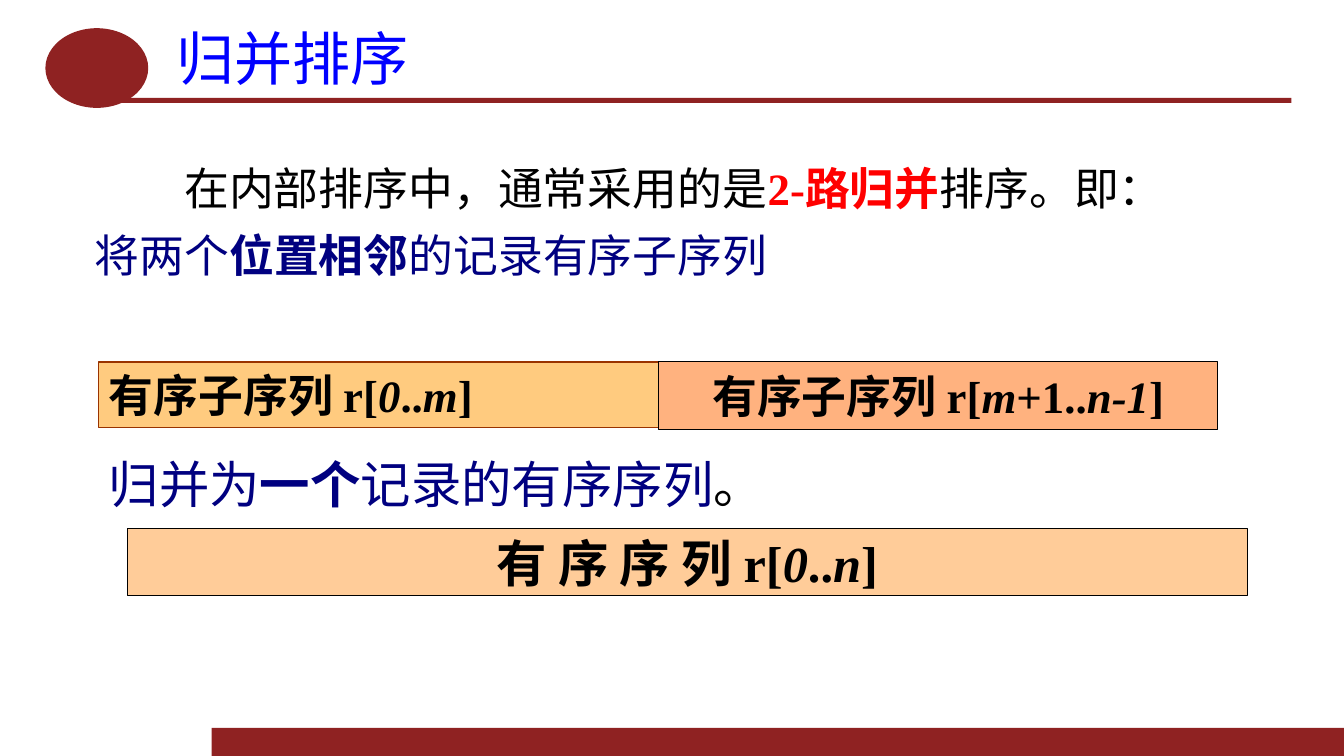
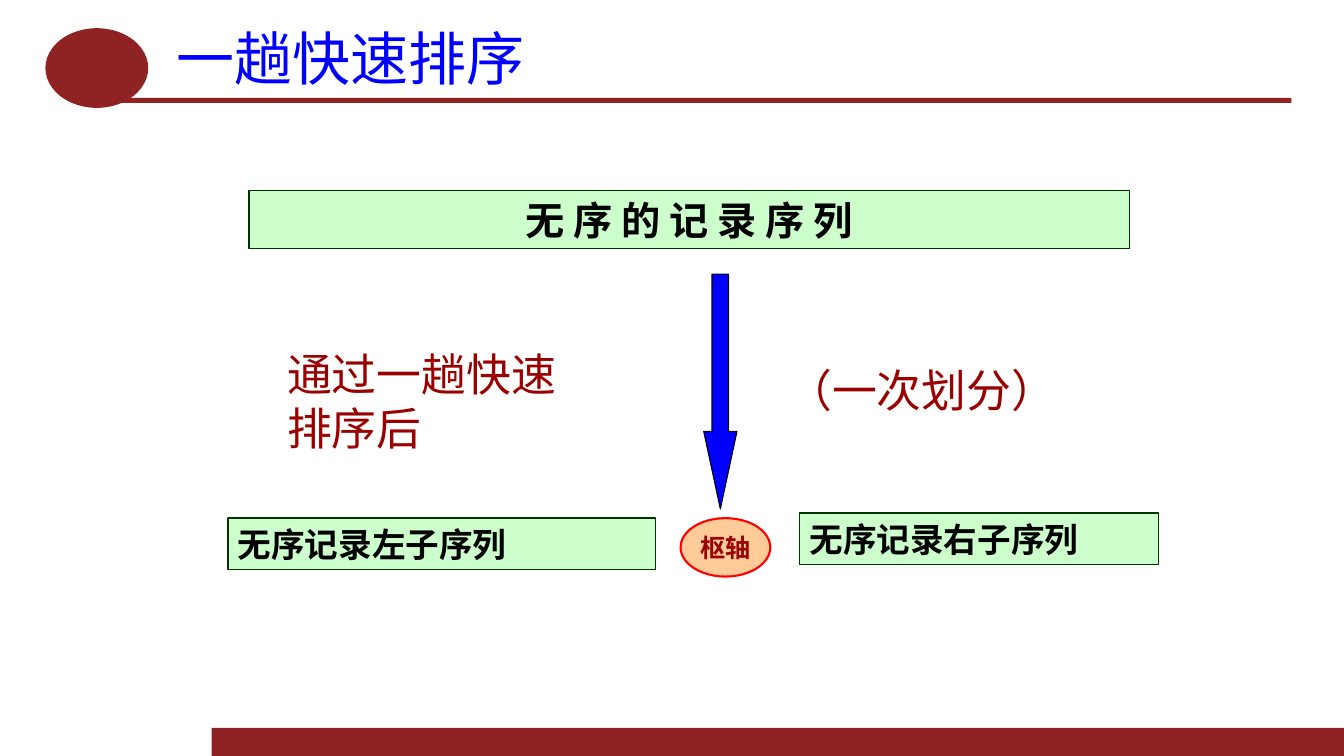
from typing import NamedTuple

from lxml import etree
from pptx import Presentation
from pptx import util as u
from pptx.dml.color import RGBColor
from pptx.enum import shapes, text
from pptx.oxml import ns

PX = 9144  # EMU: 100 px to the inch
BODY_FONT = "Times New Roman"
TITLE_FONT = "Noto Sans CJK SC"
COLORS = {
    "brand": "8F2222", "title": "0000FF", "black": "000000", "red": "FF0000",
    "navy": "000080", "maroon": "990000", "peach": "FFCC99", "amber": "FF9900",
    "orange": "FF6600", "rust": "993300", "mint": "CCFFCC", "forest": "003300",
}
SHAPE = shapes.MSO_SHAPE
CENTER = text.PP_ALIGN.CENTER
LEFT = text.PP_ALIGN.LEFT


class Span(NamedTuple):
    words: str
    color: str = "black"
    bold: bool = False
    italic: bool = False


def rgb(name):
    return RGBColor.from_string(COLORS[name])


def px(*lengths):
    return [u.Emu(length * PX) for length in lengths]


def formula(*parts):
    """Bold spans in which every second part is italic."""
    return [Span(part, bold=True, italic=index % 2 == 1)
            for index, part in enumerate(parts)]


def write(frame, lines, size, font=BODY_FONT, align=LEFT, spacing=None, indent=0,
          anchor=text.MSO_ANCHOR.MIDDLE, wrap=True):
    """Fill a text frame; each line is a list of spans."""
    frame.word_wrap = wrap
    frame.vertical_anchor = anchor
    for index, spans in enumerate(lines):
        para = frame.add_paragraph() if index else frame.paragraphs[0]
        para.alignment = align
        if spacing:
            para.line_spacing = spacing
        if indent:
            para._p.get_or_add_pPr().set("indent", str(indent * PX))
        para.font.name = font
        para.font.size = u.Pt(size)
        for span in spans:
            run = para.add_run()
            run.text = span.words
            run.font.color.rgb = rgb(span.color)
            run.font.bold = span.bold
            run.font.italic = span.italic


def add_figure(slide, kind, at, fill, line=None, width=0.75, opacity=None):
    figure = slide.shapes.add_shape(kind, *px(*at))
    figure.shadow.inherit = False
    figure.fill.solid()
    figure.fill.fore_color.rgb = rgb(fill)
    if opacity is not None:
        color = figure._element.spPr.find(".//" + ns.qn("a:srgbClr"))
        etree.SubElement(color, ns.qn("a:alpha")).set("val", str(opacity * 1000))
    if line:
        figure.line.color.rgb = rgb(line)
        figure.line.width = u.Pt(width)
    else:
        figure.line.fill.background()
    return figure


def add_bar(slide, at, spans, size, fill, line, width=0.75, align=LEFT, opacity=None):
    bar = add_figure(slide, SHAPE.RECTANGLE, at, fill, line, width, opacity)
    write(bar.text_frame, [spans], size, align=align)


def add_label(slide, at, lines, size, **style):
    box = slide.shapes.add_textbox(*px(*at))
    write(box.text_frame, lines, size, anchor=text.MSO_ANCHOR.TOP, **style)


def add_page(deck, title):
    """Add a blank slide with the shared bands, ellipse and title."""
    slide = deck.slides.add_slide(deck.slide_layouts[6])
    add_figure(slide, SHAPE.RECTANGLE, (210, 722, 1123, 28), "brand")
    add_figure(slide, SHAPE.RECTANGLE, (118, 97, 1163, 5), "brand")
    add_figure(slide, SHAPE.OVAL, (45, 28, 102, 79), "brand")
    box = slide.shapes.add_textbox(*px(162, 21, 1119, 71))
    frame = box.text_frame
    frame.margin_left, frame.margin_right = px(13, 13)
    frame.margin_top, frame.margin_bottom = px(6, 6)
    write(frame, [[Span(title, "title")]], 41.4, TITLE_FONT)
    return slide


def add_merge_sort(deck):
    slide = add_page(deck, "归并排序")
    add_label(slide, (84, 141, 1117, 145), [[
        Span("在内部排序中，通常采用的是"),
        Span("2-路归并", "red", bold=True),
        Span("排序。即："),
        Span("将两个", "navy"),
        Span("位置相邻", "navy", bold=True),
        Span("的记录有序子序列", "navy"),
    ]], 32, spacing=1.25, indent=89)
    add_label(slide, (98, 445, 677, 71), [[
        Span("归并为", "navy"),
        Span("一个", "navy", bold=True),
        Span("记录的有序序列", "navy"),
        Span("。"),
    ]], 36)
    add_bar(slide, (126, 524, 1111, 67), formula("有 序 序 列 r[", "0", "..", "n", "]"),
            36, "peach", "black", align=CENTER)
    add_bar(slide, (98, 359, 555, 65), formula("有序子序列 r[", "0", "..", "m", "]"),
            32, "amber", "rust", width=1, opacity=50)
    add_bar(slide, (653, 359, 555, 67),
            formula("有序子序列 r[", "m", "+1..", "n-1", "]"),
            32, "orange", "black", align=CENTER, opacity=50)


def add_quick_sort(deck):
    slide = add_page(deck, "一趟快速排序")
    add_bar(slide, (247, 189, 873, 58), [Span("无 序 的 记 录 序 列", bold=True)],
            28, "mint", "forest", align=CENTER)
    for at, words in (((226, 514, 424, 51), "无序记录左子序列"),
                      ((793, 509, 356, 51), "无序记录右子序列")):
        add_bar(slide, at, [Span(words, bold=True)], 24, "mint", "forest", width=1)
    pivot = add_figure(slide, SHAPE.OVAL, (675, 514, 89, 58), "peach", "red", 1.5)
    write(pivot.text_frame, [[Span("枢轴", "maroon", bold=True)]], 18,
          align=CENTER, wrap=False)
    arrow = add_figure(slide, SHAPE.DOWN_ARROW, (698, 272, 33, 233), "title", "black")
    arrow.adjustments[0] = 0.5
    arrow.adjustments[1] = 2.33
    add_label(slide, (275, 339, 300, 118),
              [[Span(words, "maroon")] for words in ("通过一趟快速", "排序后")], 32)
    add_label(slide, (771, 355, 300, 64), [[Span("（一次划分）", "maroon")]], 32)


def main():
    deck = Presentation()
    deck.slide_width, deck.slide_height = px(1333, 750)
    add_merge_sort(deck)
    add_quick_sort(deck)
    deck.save("out.pptx")


if __name__ == "__main__":
    main()
